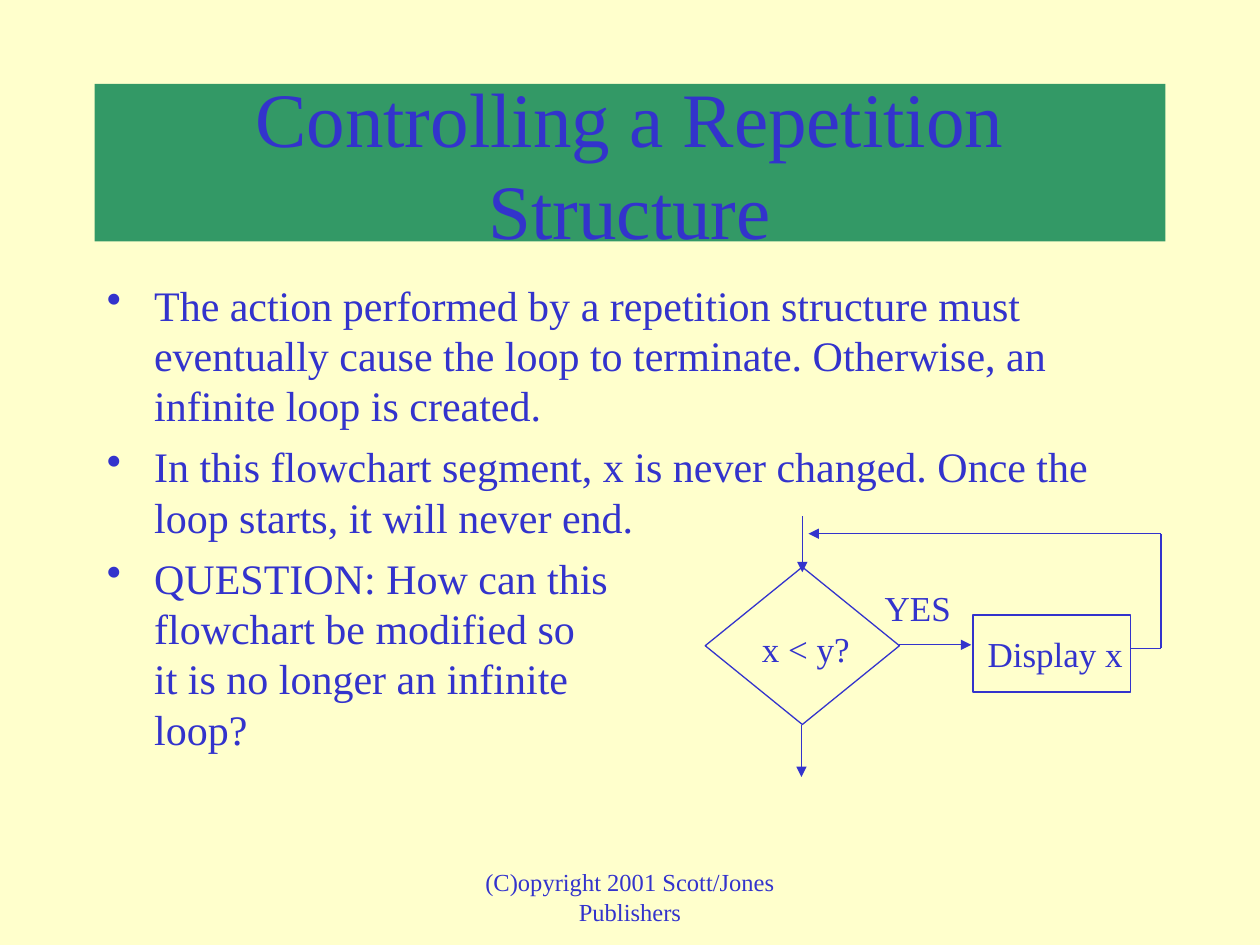
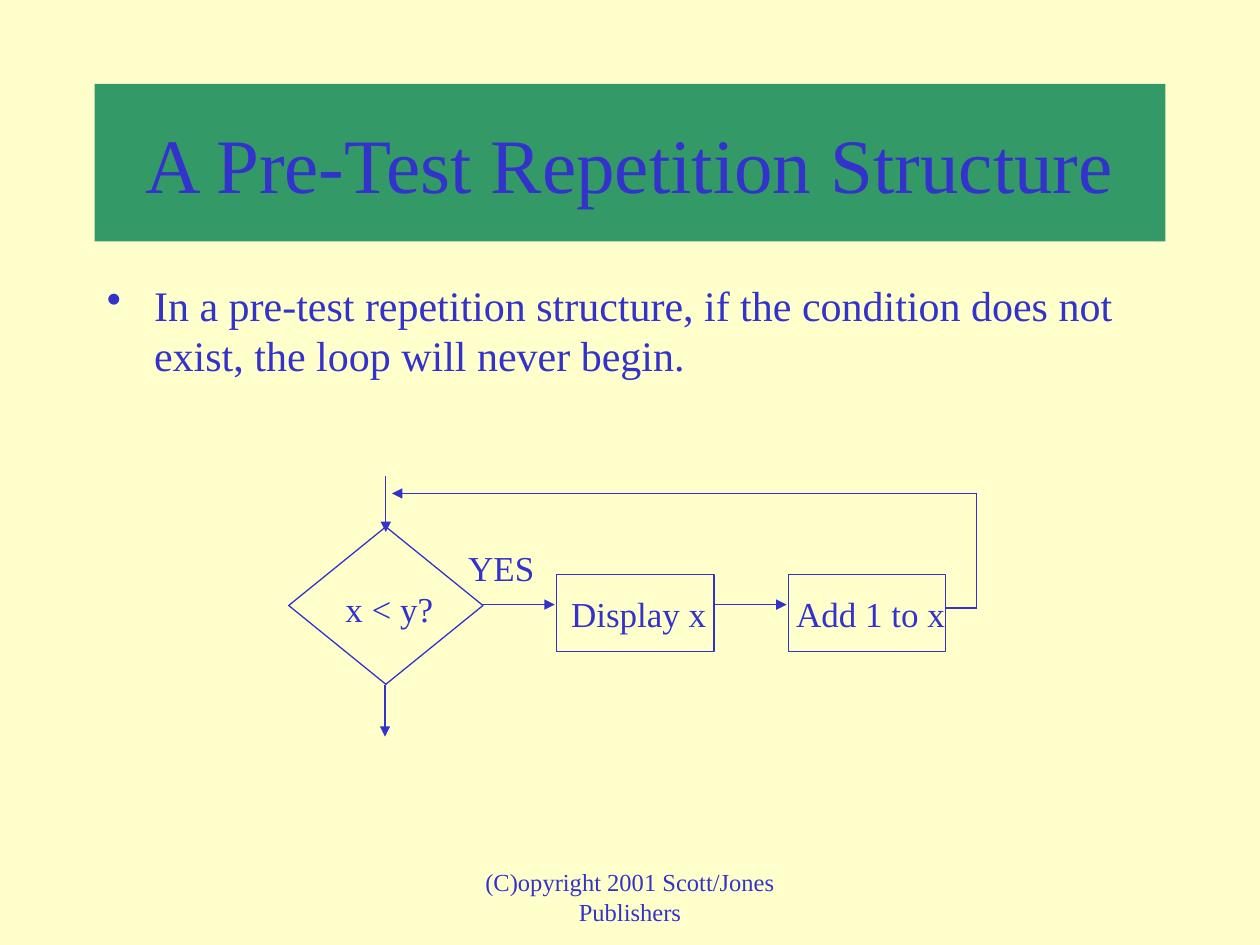
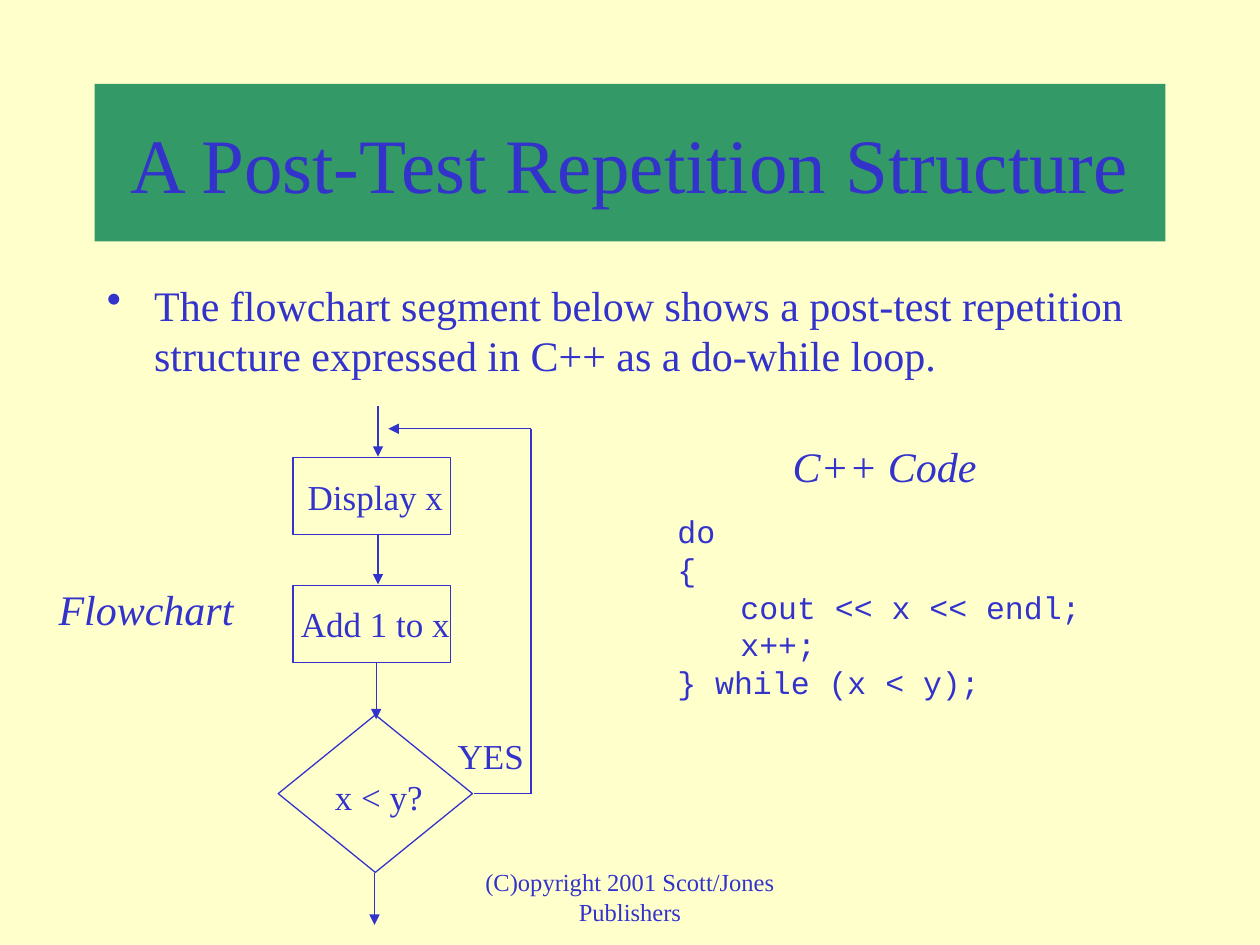
from pptx import Presentation
from pptx.dml.color import RGBColor
from pptx.enum import shapes, text
from pptx.oxml import parse_xml
from pptx.oxml import ns
from pptx.util import Pt

INK = "3333CC"
BAND = "339966"
PAPER = "FFFFCC"
SERIF = "Times New Roman"
MONO = "Courier New"
LEFT, CENTER = text.PP_ALIGN.LEFT, text.PP_ALIGN.CENTER
SHAPE = shapes.MSO_SHAPE

TITLE_BOX = (54, 48, 612, 90)
BODY_BOX = (54, 156, 612, 324)
FOOTER_BOX = (246, 492, 228, 36)
FOOTER = "(C)opyright 2001 Scott/Jones Publishers"

DECISION_WIDTH, DECISION_HEIGHT = 111, 90
STEP_WIDTH, STEP_HEIGHT = 90, 44


def color(value):
    return RGBColor.from_string(value)


def points(*values):
    return [Pt(value) for value in values]


def xml(tag, content="", attributes=""):
    return parse_xml(f"<a:{tag} {ns.nsdecls('a')} {attributes}>{content}</a:{tag}>")


def write(frame, paragraphs, size=20, font=SERIF, align=CENTER, italic=False,
          bullet=None, gap=0, anchor=text.MSO_ANCHOR.TOP):
    """Fill a text frame with paragraphs that share one format."""
    frame.word_wrap = True
    frame.auto_size = text.MSO_AUTO_SIZE.NONE
    frame.vertical_anchor = anchor
    for index, content in enumerate(paragraphs):
        para = frame.add_paragraph() if index else frame.paragraphs[0]
        para.text = content
        para.alignment = align
        if index:
            para.space_before = Pt(gap)
        if bullet:
            properties = para._p.get_or_add_pPr()
            properties.set("marL", str(Pt(27)))
            properties.set("indent", str(-Pt(27)))
            properties.append(xml("buClr", f'<a:srgbClr val="{INK}"/>'))
            properties.append(xml("buChar", attributes=f'char="{bullet}"'))
        for span in para.runs:
            span.font.name = font
            span.font.size = Pt(size)
            span.font.italic = italic
            span.font.color.rgb = color(INK)


def add_text(page, box, *paragraphs, **style):
    write(page.shapes.add_textbox(*points(*box)).text_frame, paragraphs, **style)


def add_outline(page, kind, box):
    shape = page.shapes.add_shape(kind, *points(*box))
    shape.shadow.inherit = False
    shape.fill.background()
    shape.line.color.rgb = color(INK)
    shape.line.width = Pt(0.75)


def add_line(page, left, top, start, end, arrow=True):
    """Join two points given relative to the corner of a flowchart."""
    line = page.shapes.add_connector(
        shapes.MSO_CONNECTOR.STRAIGHT,
        *points(left + start[0], top + start[1], left + end[0], top + end[1]))
    line.line.color.rgb = color(INK)
    line.line.width = Pt(0.75)
    if arrow:
        line.line._get_or_add_ln().append(xml("tailEnd", attributes='type="triangle"'))
    line._element.spPr.append(xml("effectLst"))


def add_route(page, left, top, *stops):
    """Draw a path of straight lines with an arrowhead on the last one."""
    for index, (start, end) in enumerate(zip(stops, stops[1:])):
        add_line(page, left, top, start, end, arrow=index == len(stops) - 2)


def add_decision(page, left, top):
    add_outline(page, SHAPE.FLOWCHART_DECISION,
                (left, top, DECISION_WIDTH, DECISION_HEIGHT))
    add_text(page, (left + 20, top + 31, 75, 32), "x < y?")
    add_text(page, (left + 91, top + 7.5, 61, 32), "YES")
    add_line(page, left, top, (55, DECISION_HEIGHT + 0.5), (55, 120))


def add_step(page, left, top, label):
    add_outline(page, SHAPE.RECTANGLE, (left, top, STEP_WIDTH, STEP_HEIGHT))
    add_text(page, (left - 4, top + 6.5, 102, 32), label)


def add_pretest_flowchart(page, left, top, steps):
    """Decision at the given corner, steps to its right, and a way back."""
    first, pitch = 153, 132.5
    add_line(page, left, top, (55.5, -29), (55.5, 3))
    add_decision(page, left, top)
    for index, label in enumerate(steps):
        step = first + index * pitch
        add_step(page, left + step, top + 27.5, label)
        add_line(page, left, top, (step - 42.5, 44.5), (step - 1, 44.5))
    right = step + STEP_WIDTH
    add_route(page, left, top, (right, 46.5), (right + 17.5, 46.5),
              (right + 17.5, -19), (59, -19))


def add_posttest_flowchart(page, left, top, steps):
    """Steps downwards, each after an arrow, then the decision and a way back."""
    pitch, arrow = 73, 29
    for index, label in enumerate(steps):
        start = index * pitch
        add_line(page, left, top, (57, start), (57, start + arrow))
        add_step(page, left + 8.5, top + start + arrow + 0.5, label)
    decision = len(steps) * pitch + 30.5
    add_line(page, left, top, (56, decision - 29.5), (56, decision + 2.5))
    add_decision(page, left, top + decision)
    middle = decision + DECISION_HEIGHT / 2
    add_route(page, left, top, (DECISION_WIDTH + 1, middle), (144.5, middle),
              (144.5, 13), (63, 13))


def add_page(deck, title, *bullets):
    page = deck.slides.add_slide(deck.slide_layouts[5])
    band = page.shapes.title
    band.left, band.top, band.width, band.height = points(*TITLE_BOX)
    band.fill.solid()
    band.fill.fore_color.rgb = color(BAND)
    write(band.text_frame, [title], size=44, anchor=text.MSO_ANCHOR.MIDDLE)
    add_text(page, BODY_BOX, *bullets, size=24, align=LEFT, bullet="•", gap=6)
    add_text(page, FOOTER_BOX, FOOTER, size=14)
    return page


def main():
    deck = Presentation()
    deck.slide_width, deck.slide_height = points(720, 540)
    paper = deck.slide_master.background.fill
    paper.solid()
    paper.fore_color.rgb = color(PAPER)

    page = add_page(
        deck, "Controlling a Repetition Structure",
        "The action performed by a repetition structure must eventually cause "
        "the loop to terminate. Otherwise, an infinite loop is created.",
        "In this flowchart segment, x is never changed. Once the loop starts, "
        "it will never end.",
        "QUESTION: How can this\nflowchart be modified so\n"
        "it is no longer an infinite\nloop?")
    add_pretest_flowchart(page, 403, 324, ["Display x"])

    page = add_page(
        deck, "A Pre-Test Repetition Structure",
        "In a pre-test repetition structure, if the condition does not exist, "
        "the loop will never begin.")
    add_pretest_flowchart(page, 165, 301, ["Display x", "Add 1 to x"])

    page = add_page(
        deck, "A Post-Test Repetition Structure",
        "The flowchart segment below shows a post-test repetition structure "
        "expressed in C++ as a do-while loop.")
    add_posttest_flowchart(page, 159, 232, ["Display x", "Add 1 to x"])
    add_text(page, (21, 330, 125, 36), "Flowchart", size=24, italic=True)
    add_text(page, (443, 248, 125, 36), "C++ Code", size=24, italic=True)
    add_text(page, (380, 289, 283, 115),
             "do\n{\n\tcout << x << endl;\n\tx++;\n} while (x < y);",
             size=18, font=MONO, align=LEFT)

    deck.save("out.pptx")


if __name__ == "__main__":
    main()
